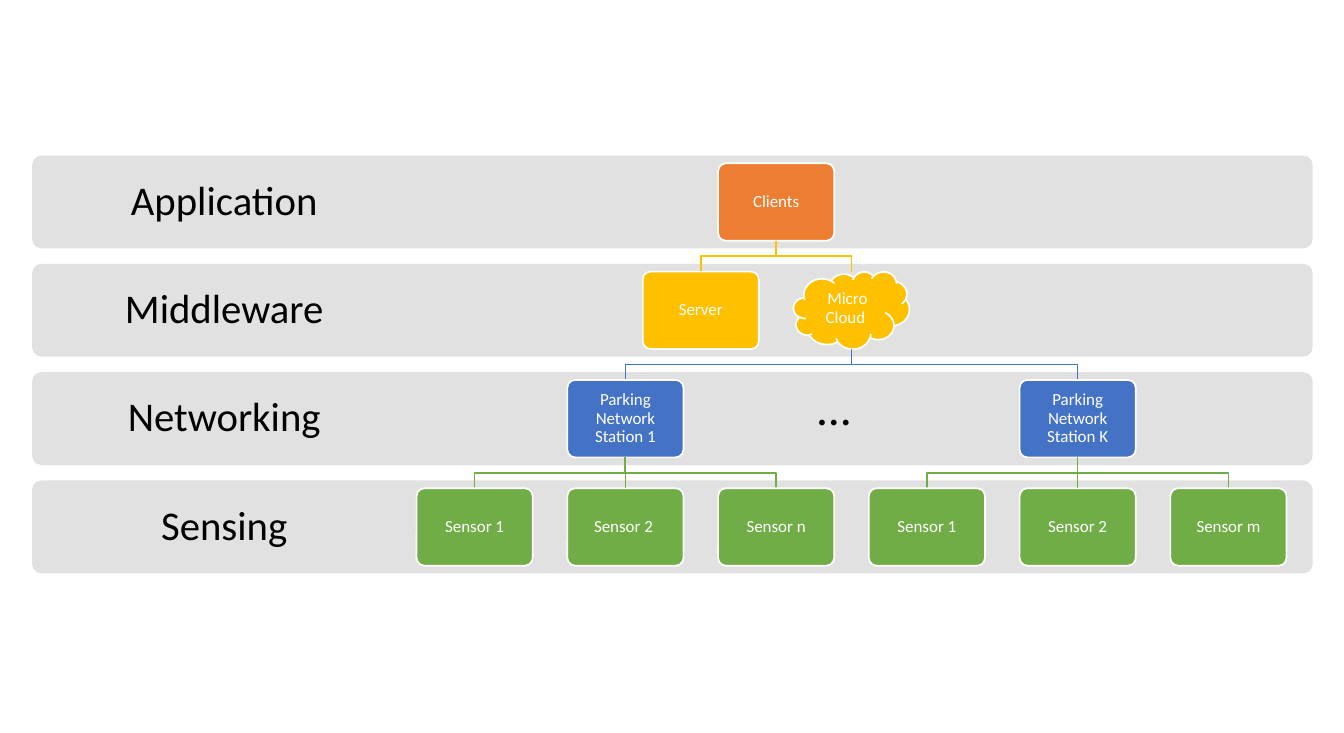
from pptx import Presentation
from pptx.dml.color import RGBColor
from pptx.enum.shapes import MSO_CONNECTOR, MSO_SHAPE
from pptx.enum.text import MSO_ANCHOR, PP_ALIGN
from pptx.util import Pt
from lxml.etree import SubElement
from pptx.oxml.ns import qn

BLACK = RGBColor(0x00, 0x00, 0x00)
WHITE = RGBColor(0xFF, 0xFF, 0xFF)
GREY = RGBColor(0xE1, 0xE1, 0xE1)
ORANGE = RGBColor(0xED, 0x7D, 0x31)
YELLOW = RGBColor(0xFF, 0xC0, 0x00)
BLUE = RGBColor(0x44, 0x72, 0xC4)
GREEN = RGBColor(0x70, 0xAD, 0x47)

LAYER_LEFT, LAYER_TOP, LAYER_WIDTH, LAYER_HEIGHT = 18.9, 91.7, 754.6, 54.72
LAYER_PITCH = 63.84
LABEL_WIDTH = 226.4
NODE_WIDTH, NODE_HEIGHT = 68.4, 45.6
NODE_PAD = (LAYER_HEIGHT - NODE_HEIGHT) / 2
FIRST_CENTRE, COLUMN_PITCH = 279.7, 88.84


def write(shape, text, size, color, inset, align=PP_ALIGN.CENTER, spacing=0.9, wrap=True):
    frame = shape.text_frame
    frame.word_wrap = wrap
    frame.vertical_anchor = MSO_ANCHOR.MIDDLE
    frame.margin_left = frame.margin_right = Pt(inset)
    frame.margin_top = frame.margin_bottom = Pt(inset)
    paragraph = frame.paragraphs[0]
    paragraph.alignment = align
    paragraph.line_spacing = spacing
    run = paragraph.add_run()
    run.text = text
    run.font.name = "Calibri"
    run.font.size = Pt(size)
    run.font.color.rgb = color


presentation = Presentation()
presentation.slide_width, presentation.slide_height = Pt(792), Pt(432)
slide = presentation.slides.add_slide(presentation.slide_layouts[6])
shapes = slide.shapes

# Layers with their labels
for row, layer_name in enumerate(["Application", "Middleware", "Networking", "Sensing"]):
    top = LAYER_TOP + row * LAYER_PITCH
    layer = shapes.add_shape(MSO_SHAPE.ROUNDED_RECTANGLE, Pt(LAYER_LEFT), Pt(top),
                             Pt(LAYER_WIDTH), Pt(LAYER_HEIGHT))
    layer.adjustments[0] = 0.1
    layer.shadow.inherit = False
    layer.fill.solid()
    layer.fill.fore_color.rgb = GREY
    layer.line.fill.background()
    label = shapes.add_textbox(Pt(LAYER_LEFT), Pt(top), Pt(LABEL_WIDTH), Pt(LAYER_HEIGHT))
    write(label, layer_name, 24, BLACK, 13.4)

# Tree: text, layer, column, index of the parent
tree = [
    ("Clients", 0, 2, None),
    ("Server", 1, 1.5, 0),
    ("Micro Cloud ", 1, 2.5, 0),
    ("Parking Network Station 1", 2, 1, 2),
    ("Sensor 1", 3, 0, 3),
    ("Sensor 2 ", 3, 1, 3),
    ("Sensor n", 3, 2, 3),
    ("Parking Network Station K", 2, 4, 2),
    ("Sensor 1", 3, 3, 7),
    ("Sensor 2", 3, 4, 7),
    ("Sensor m", 3, 5, 7),
]
layer_colors = [ORANGE, YELLOW, BLUE, GREEN]
nodes = []
for text, row, column, parent in tree:
    color = layer_colors[row]
    centre = FIRST_CENTRE + column * COLUMN_PITCH
    top = LAYER_TOP + row * LAYER_PITCH + NODE_PAD
    straight = parent is not None and tree[parent][2] == column

    # Bent link from the parent down to this node
    if parent is not None and not straight:
        parent_centre = FIRST_CENTRE + tree[parent][2] * COLUMN_PITCH
        parent_bottom = top - LAYER_PITCH + NODE_HEIGHT
        bend = (parent_bottom + top) / 2
        builder = shapes.build_freeform(Pt(parent_centre), Pt(parent_bottom))
        builder.add_line_segments([(Pt(parent_centre), Pt(bend)), (Pt(centre), Pt(bend)),
                                   (Pt(centre), Pt(top))], close=False)
        link = builder.convert_to_shape()
        link.shadow.inherit = False
        link.fill.background()
        link.line.color.rgb = color
        link.line.width = Pt(1)

    # Node
    is_cloud = "Cloud" in text
    node = shapes.add_shape(MSO_SHAPE.CLOUD if is_cloud else MSO_SHAPE.ROUNDED_RECTANGLE,
                            Pt(centre - NODE_WIDTH / 2), Pt(top), Pt(NODE_WIDTH), Pt(NODE_HEIGHT))
    if not is_cloud:
        node.adjustments[0] = 0.1
    node.shadow.inherit = False
    node.fill.solid()
    node.fill.fore_color.rgb = color
    node.line.color.rgb = WHITE
    node.line.width = Pt(1)
    write(node, text, 10, WHITE, 2.7)
    nodes.append(node)

    # Straight link to a node right below its parent
    if straight:
        link = shapes.add_connector(MSO_CONNECTOR.STRAIGHT, 0, 0, 0, 0)
        link.begin_connect(nodes[parent], 2)
        link.end_connect(node, 0)
        link.line.color.rgb = color
        link.line.width = Pt(1)
        SubElement(link._element.spPr, qn("a:effectLst"))

# Further stations between 1 and K
more_stations = shapes.add_textbox(Pt(473.8), Pt(218.9), Pt(42.5), Pt(41.8))
write(more_stations, "...", 28, BLACK, 7.2, align=PP_ALIGN.LEFT, spacing=1.0, wrap=False)

presentation.save("out.pptx")
